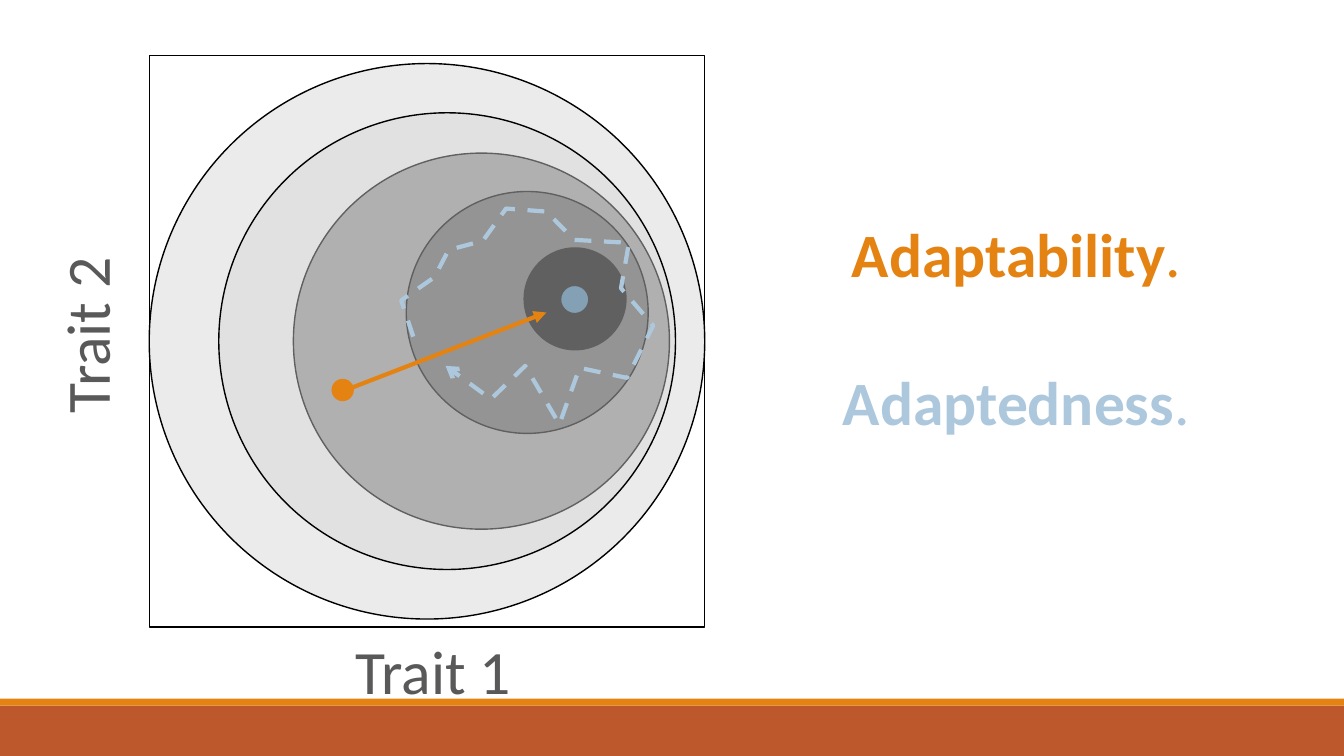
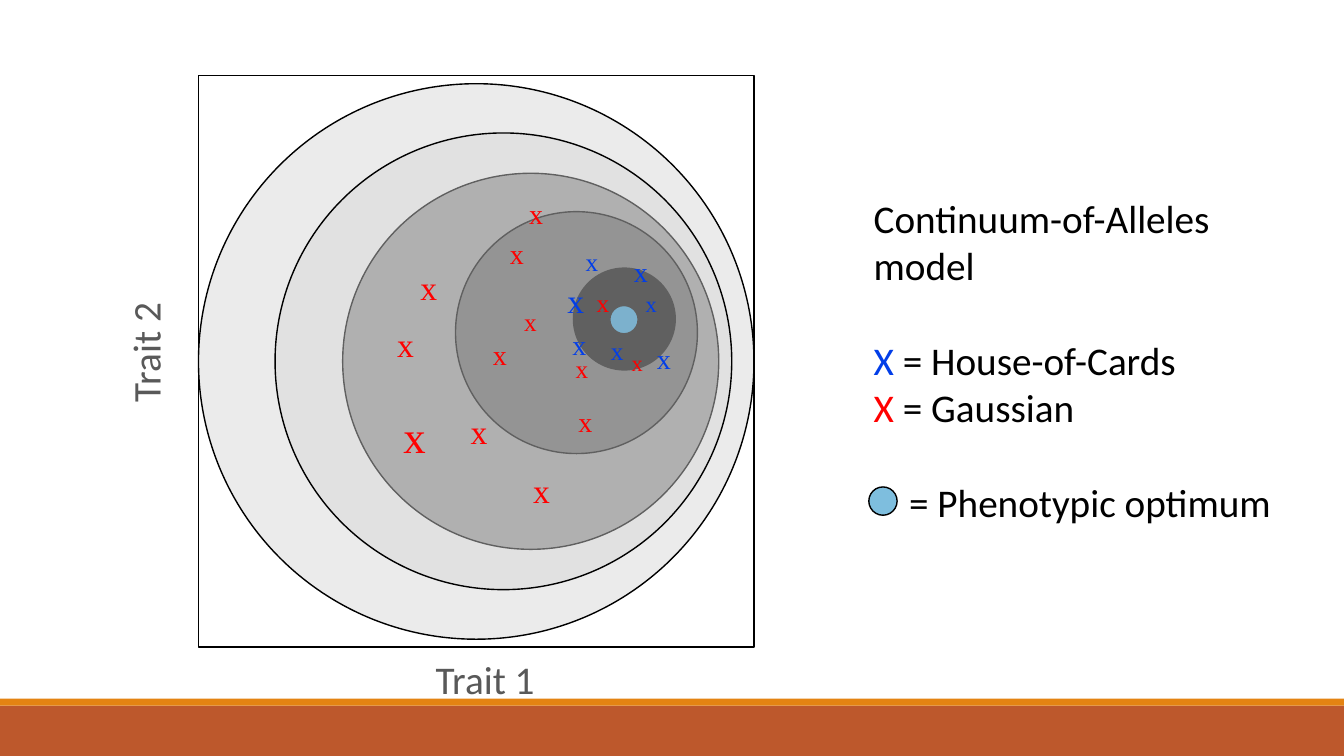
import pptx
import pptx.util
import pptx.dml.color
import pptx.enum.dml
import pptx.enum.shapes
import pptx.enum.text
import pptx.oxml.ns
import lxml.etree

Pt = pptx.util.Pt
SHAPE = pptx.enum.shapes.MSO_SHAPE
CENTER = pptx.enum.text.PP_ALIGN.CENTER

WIDTH, HEIGHT = 960, 540
BLACK, GREY, ORANGE, RUST, PALE_BLUE = "000000", "595959", "E48312", "BD582C", "ADC8DD"
BLUE, RED = "023EE8", "FF0000"
SANS, SERIF = "Calibri", "Times New Roman"

FRAME_W, FRAME_H = 396.8, 408.2
# Fitness contours inside the frame: left, top, diameter, fill
CONTOURS = [
    (0, 5.8, 396.8, "EBEBEB"),
    (103, 69.8, 268.6, "929292"),
    (183.6, 97.2, 172.8, "5E5E5E"),
]
PEAK = (267.8, 137.5, 72.7, BLACK)
OPTIMUM = (293.8, 164.2, 20.2)
HAZE_TOP, HAZE_SIZE, HAZE_OPACITY = 41, 326.2, 45

# Points relative to the frame's top left corner
DRIFT_TRAIL = [
    (188.6, 200.9), (180, 175), (203.8, 158.4), (213.8, 139), (238.3, 132.5),
    (254.9, 109.4), (283.7, 111.6), (303.8, 131.8), (342.7, 133.9), (337, 166.3),
    (360, 193), (341.3, 230.4), (307.4, 223.2), (293, 263.5), (268.6, 221.8),
    (244.1, 245.5), (211.7, 221.8),
]
# Mutants by colour: centre x, centre y, text size
MUTANTS = {
    BLUE: [
        (316, 139.7, 20), (269.6, 160.6, 24), (299.2, 196.6, 18), (332.6, 202.3, 20),
        (323.6, 163.1, 16), (272.2, 192.2, 20), (281.2, 132.5, 18),
    ],
    RED: [
        (241.2, 98.6, 20), (227.5, 126.7, 20), (164.5, 151.2, 24), (274, 209.5, 18),
        (215.3, 199.4, 20), (237.2, 175.7, 18), (200.5, 254.2, 24), (313.6, 204.8, 16),
        (289.1, 162, 18), (276.5, 247, 20), (148, 191.5, 24), (154.4, 257, 32),
        (245.2, 295.9, 24),
    ],
}


def rgb(value):
    return pptx.dml.color.RGBColor.from_string(value)


def sub(parent, tag, **attributes):
    return lxml.etree.SubElement(parent, pptx.oxml.ns.qn(tag), **attributes)


def style_line(line, color, width):
    line.color.rgb = rgb(color)
    line.width = Pt(width)


def add_preset(slide, kind, left, top, width, height, fill=None, outline=None):
    shape = slide.shapes.add_shape(kind, Pt(left), Pt(top), Pt(width), Pt(height))
    shape.shadow.inherit = False
    if fill:
        shape.fill.solid()
        shape.fill.fore_color.rgb = rgb(fill)
    else:
        shape.fill.background()
    if outline:
        style_line(shape.line, outline, 1)
    else:
        shape.line.fill.background()
    return shape


def add_circle(slide, left, top, size, fill, outline=BLACK):
    return add_preset(slide, SHAPE.OVAL, left, top, size, size, fill, outline)


def add_text(slide, left, top, width, height, paragraphs, size, font=SANS, align=None, wrap=True):
    """Each paragraph is (runs, space before, left indent); a run is (text, colour, bold)."""
    box = slide.shapes.add_textbox(Pt(left), Pt(top), Pt(width), Pt(height))
    frame = box.text_frame
    frame.word_wrap = wrap
    for index, (runs, before, indent) in enumerate(paragraphs):
        paragraph = frame.add_paragraph() if index else frame.paragraphs[0]
        paragraph.alignment = align
        paragraph.space_before = Pt(before)
        if indent:
            paragraph._p.get_or_add_pPr().set("marL", str(Pt(indent)))
        for text, color, bold in runs:
            run = paragraph.add_run()
            run.text = text
            run.font.name = font
            run.font.size = Pt(size)
            run.font.bold = bold
            run.font.color.rgb = rgb(color)
    return box


def add_arrowhead(line, kind):
    sub(line._get_or_add_ln(), "a:tailEnd", type=kind)


def add_master_bands(slide, master):
    """Draw the footer bands once and hand them to the master."""
    for top, height, color in [(504, 36, RUST), (499, 5, ORANGE)]:
        band = add_preset(slide, SHAPE.RECTANGLE, 0, top, WIDTH, height, color)
        master.shapes.element.append(band.element)


def add_landscape(slide, left, top, haze_left, optimum_color):
    for x, y, size, fill in CONTOURS:
        add_circle(slide, left + x, top + y, size, fill)
    add_preset(slide, SHAPE.RECTANGLE, left, top, FRAME_W, FRAME_H, outline=BLACK)
    for x, y, size, fill in [PEAK, (*OPTIMUM, optimum_color)]:
        add_circle(slide, left + x, top + y, size, fill)
    # Translucent contour over everything
    haze = add_circle(slide, left + haze_left, top + HAZE_TOP, HAZE_SIZE, "D6D6D6")
    color = haze.fill._xPr.find(".//" + pptx.oxml.ns.qn("a:srgbClr"))
    sub(color, "a:alpha", val=str(HAZE_OPACITY * 1000))


def add_axis_labels(slide, left, top, size, width, height, shift, gap, y_distance):
    """Label both axes; shift moves each label along its axis from the middle."""
    centres = [
        ("Trait 1", left + FRAME_W / 2 + shift, top + FRAME_H + gap + height / 2, 0),
        ("Trait 2", left - y_distance, top + FRAME_H / 2 - shift, 270),
    ]
    for text, x, y, rotation in centres:
        label = add_text(slide, x - width / 2, y - height / 2, width, height,
                         [([(text, GREY, False)], 0, 0)], size, align=CENTER)
        label.rotation = rotation


def add_drift_trail(slide, left, top):
    points = [(Pt(left + x), Pt(top + y)) for x, y in DRIFT_TRAIL]
    builder = slide.shapes.build_freeform(*points[0])
    builder.add_line_segments(points[1:], close=False)
    trail = builder.convert_to_shape()
    trail.shadow.inherit = False
    trail.fill.background()
    style_line(trail.line, PALE_BLUE, 3)
    trail.line.dash_style = pptx.enum.dml.MSO_LINE.DASH
    add_arrowhead(trail.line, "arrow")


def add_adaptive_step(slide, left, top):
    step = slide.shapes.add_connector(
        pptx.enum.shapes.MSO_CONNECTOR.STRAIGHT,
        Pt(left + 140.4), Pt(top + 239), Pt(left + 283.7), Pt(top + 183.6))
    style_line(step.line, ORANGE, 3)
    add_arrowhead(step.line, "triangle")
    sub(step._element.spPr, "a:effectLst")
    add_circle(slide, left + 130.2, top + 231, 16, ORANGE, None)


def add_mutants(slide, left, top):
    for color, marks in MUTANTS.items():
        for x, y, size in marks:
            width, height = size / 2 + 14.4, size * 1.2 + 7.2
            add_text(slide, left + x - width / 2, top + y - height / 2, width, height,
                     [([("x", color, False)], 0, 0)], size, SERIF, wrap=False)


def add_model_key(slide, left, top):
    add_circle(slide, left + 3.6, top + 212.4, 20.2, "7EBEDE")
    add_text(slide, left, top, 320.4, 244.8, [
        ([("Continuum-of-Alleles model", BLACK, False)], 0, 0),
        ([("X ", BLUE, False), ("= House-of-Cards", BLACK, False)], 34, 0),
        ([("X", RED, False), (" = Gaussian", BLACK, False)], 0, 0),
        ([("= Phenotypic optimum", BLACK, False)], 34, 25.3),
    ], 28)


def build_adaptability(slide):
    left, top = 106.6, 39.6
    add_text(slide, 528.5, 150.5, 395.3, 167, [
        ([("Adaptability", ORANGE, True), (".", ORANGE, False)], 0, 0),
        ([("Adaptedness", PALE_BLUE, True), (".", PALE_BLUE, False)], 53, 0),
    ], 44, align=CENTER)
    add_landscape(slide, left, top, 49.7, "40749B")
    add_drift_trail(slide, left, top)
    add_axis_labels(slide, left, top, 44, 135.4, 60.5, 4.3, 0.8, 45.4)
    add_adaptive_step(slide, left, top)


def build_alleles_model(slide):
    left, top = 141.8, 54
    add_landscape(slide, left, top, 54.7, "3394C6")
    add_mutants(slide, left, top)
    add_model_key(slide, 617, 135.4)
    add_axis_labels(slide, left, top, 28, 146.9, 41, 6.3, 2.2, 38.1)


def main():
    deck = pptx.Presentation()
    deck.slide_width, deck.slide_height = Pt(WIDTH), Pt(HEIGHT)
    blank = deck.slide_layouts[6]
    adaptability = deck.slides.add_slide(blank)
    add_master_bands(adaptability, deck.slide_master)
    build_adaptability(adaptability)
    build_alleles_model(deck.slides.add_slide(blank))
    deck.save("out.pptx")


if __name__ == "__main__":
    main()
